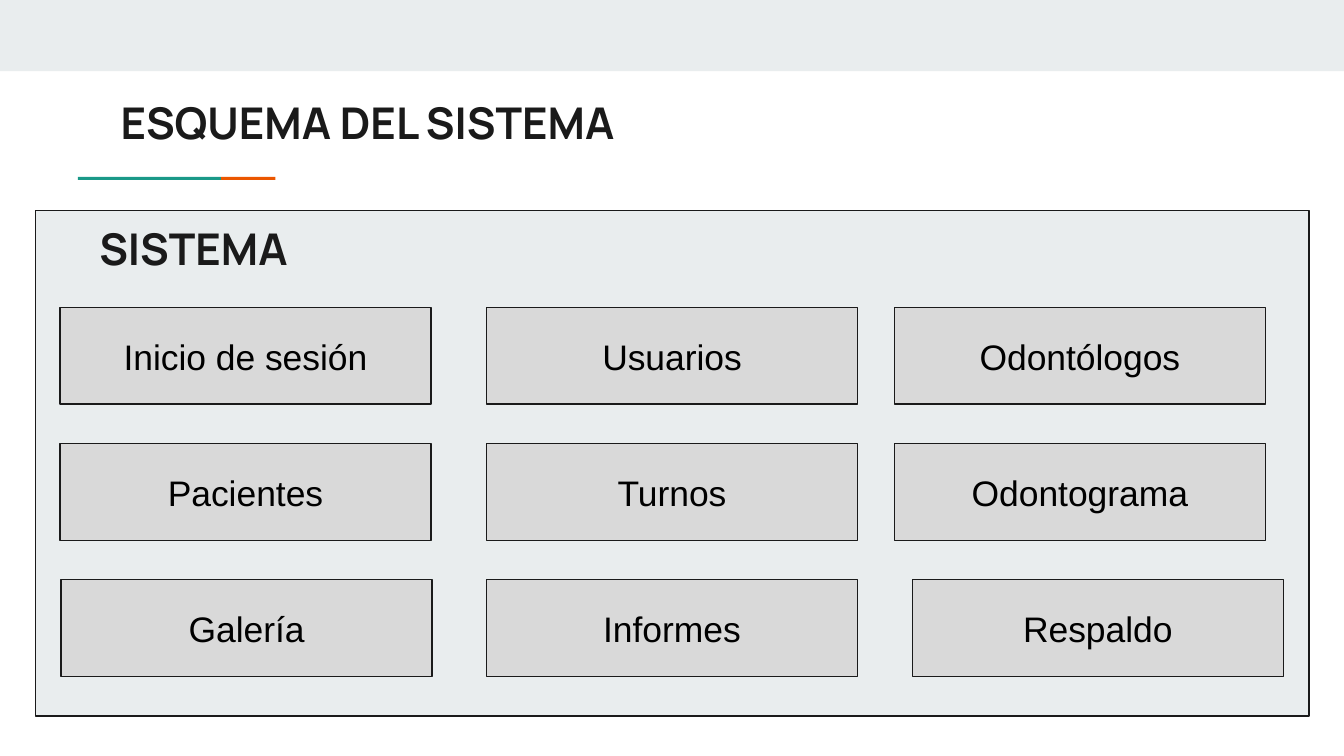
"""Build the system overview slide."""
from dataclasses import dataclass

from pptx import Presentation, util as u
from pptx.dml.color import RGBColor
from pptx.enum import shapes, text


@dataclass(frozen=True)
class Theme:
    """Colours, fonts and type sizes of the slide."""
    ink: str = "1A1A1A"
    label: str = "000000"
    panel: str = "E9EDEE"
    module: str = "D9D9D9"
    teal: str = "1A9988"
    orange: str = "EB5600"
    heading_font: str = "Manrope"
    label_font: str = "Arial"
    heading_size: float = 23.4
    label_size: float = 19
    outline: float = 0.75
    inset: float = 7.2


@dataclass(frozen=True)
class Area:
    """Position and size in points."""
    left: float
    top: float
    width: float
    height: float

    def lengths(self) -> list:
        """Return the four lengths in the order python-pptx expects."""
        return [u.Pt(v) for v in (self.left, self.top, self.width, self.height)]


@dataclass(frozen=True)
class Module:
    """A system module, with any sideways shift from its column."""
    name: str
    shift: float = 0


THEME = Theme()
WIDTH, HEIGHT = 720, 405
COLUMNS = (32.2, 260.7, 479.2)
FIRST_ROW, ROW_STEP = 164.75, 72.9
MODULE_WIDTH, MODULE_HEIGHT = 198.7, 51.8
MODULES = (
    (Module("Inicio de sesión"), Module("Usuarios"), Module("Odontólogos")),
    (Module("Pacientes"), Module("Turnos"), Module("Odontograma")),
    (Module("Galería", 0.6), Module("Informes"), Module("Respaldo", 9.6)),
)


def add_box(page, area: Area, fill: str, outlined: bool = False):
    """Draw a filled rectangle, optionally outlined."""
    box = page.shapes.add_shape(shapes.MSO_SHAPE.RECTANGLE, *area.lengths())
    box.shadow.inherit = False
    box.fill.solid()
    box.fill.fore_color.rgb = RGBColor.from_string(fill)
    if outlined:
        box.line.color.rgb = RGBColor.from_string(THEME.ink)
        box.line.width = u.Pt(THEME.outline)
    else:
        box.line.fill.background()
    return box


def write(box, words: str, font: str, size: float, colour: str, bold: bool = False):
    """Write one styled paragraph in a box and return it."""
    frame = box.text_frame
    frame.word_wrap = True
    frame.margin_left = frame.margin_right = u.Pt(THEME.inset)
    frame.margin_top = frame.margin_bottom = u.Pt(THEME.inset)
    para = frame.paragraphs[0]
    para.text = words
    para.font.name = font
    para.font.size = u.Pt(size)
    para.font.bold = bold
    para.font.color.rgb = RGBColor.from_string(colour)
    return para


def add_heading(page, area: Area, words: str) -> None:
    """Write a bold heading at the top left of its area."""
    box = page.shapes.add_textbox(*area.lengths())
    box.text_frame.vertical_anchor = text.MSO_ANCHOR.TOP
    para = write(box, words, THEME.heading_font, THEME.heading_size, THEME.ink, True)
    para.alignment = text.PP_ALIGN.LEFT
    para.line_spacing = 0.95


def add_module(page, module: Module, column: int, row: int) -> None:
    """Draw one module box in the grid."""
    area = Area(COLUMNS[column] + module.shift, FIRST_ROW + row * ROW_STEP,
                MODULE_WIDTH, MODULE_HEIGHT)
    box = add_box(page, area, THEME.module, outlined=True)
    box.text_frame.vertical_anchor = text.MSO_ANCHOR.MIDDLE
    para = write(box, module.name, THEME.label_font, THEME.label_size, THEME.label)
    para.alignment = text.PP_ALIGN.CENTER


def main() -> None:
    """Build and save the deck."""
    deck = Presentation()
    deck.slide_width, deck.slide_height = u.Pt(WIDTH), u.Pt(HEIGHT)
    page = deck.slides.add_slide(deck.slide_layouts[6])
    add_box(page, Area(0, 0, WIDTH, 38.2), THEME.panel)
    add_box(page, Area(118.4, 94.8, 29.1, 1.6), THEME.orange)
    add_box(page, Area(41.8, 94.8, 76.6, 1.6), THEME.teal)
    add_box(page, Area(18.9, 112.8, 682.4, 270.8), THEME.panel, outlined=True)
    add_heading(page, Area(57.6, 46.1, 605.5, 42.5), "ESQUEMA DEL SISTEMA")
    add_heading(page, Area(46.1, 113.6, 116.6, 42.5), "SISTEMA")
    for row, modules in enumerate(MODULES):
        for column, module in enumerate(modules):
            add_module(page, module, column, row)
    deck.save("out.pptx")


if __name__ == "__main__":
    main()
